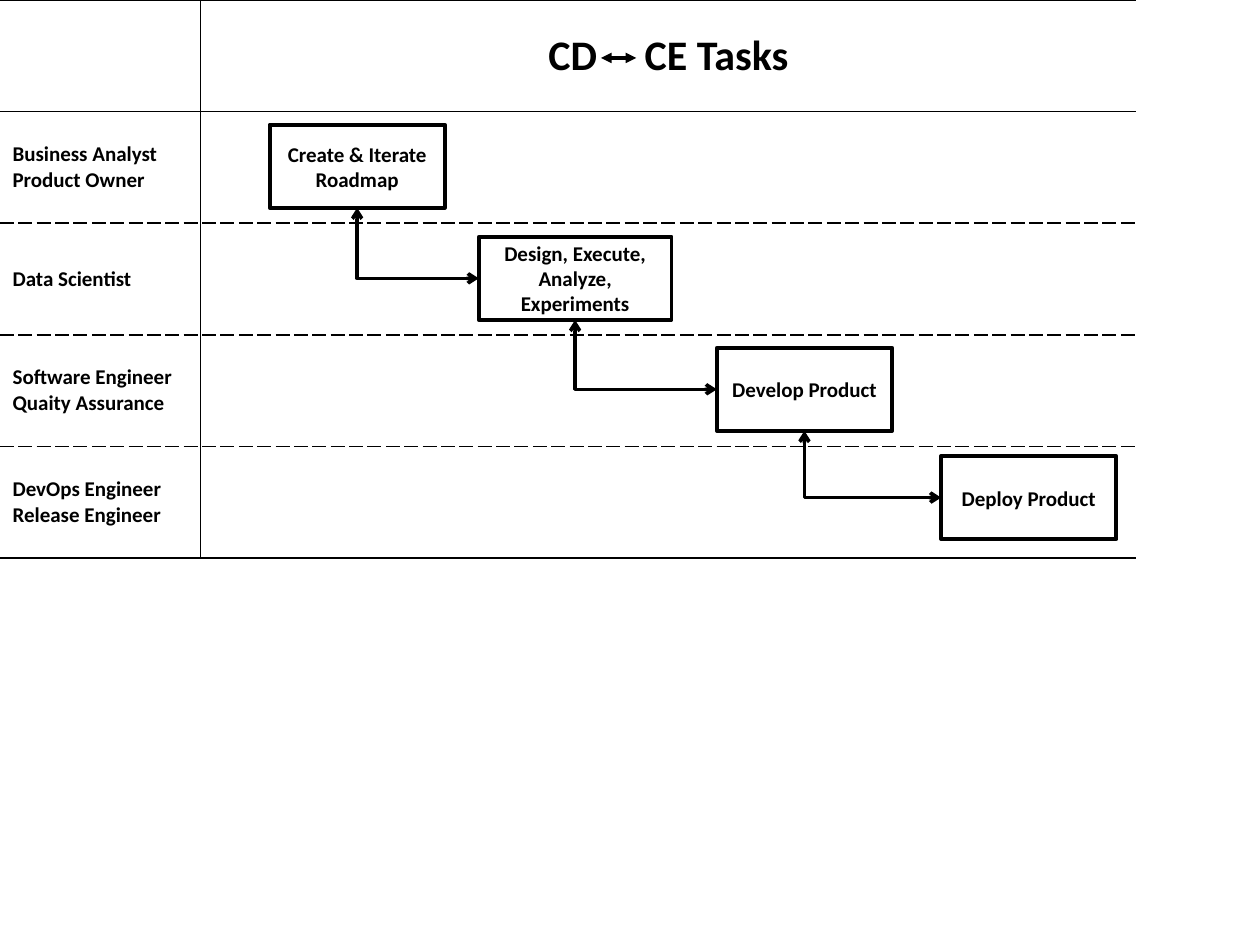
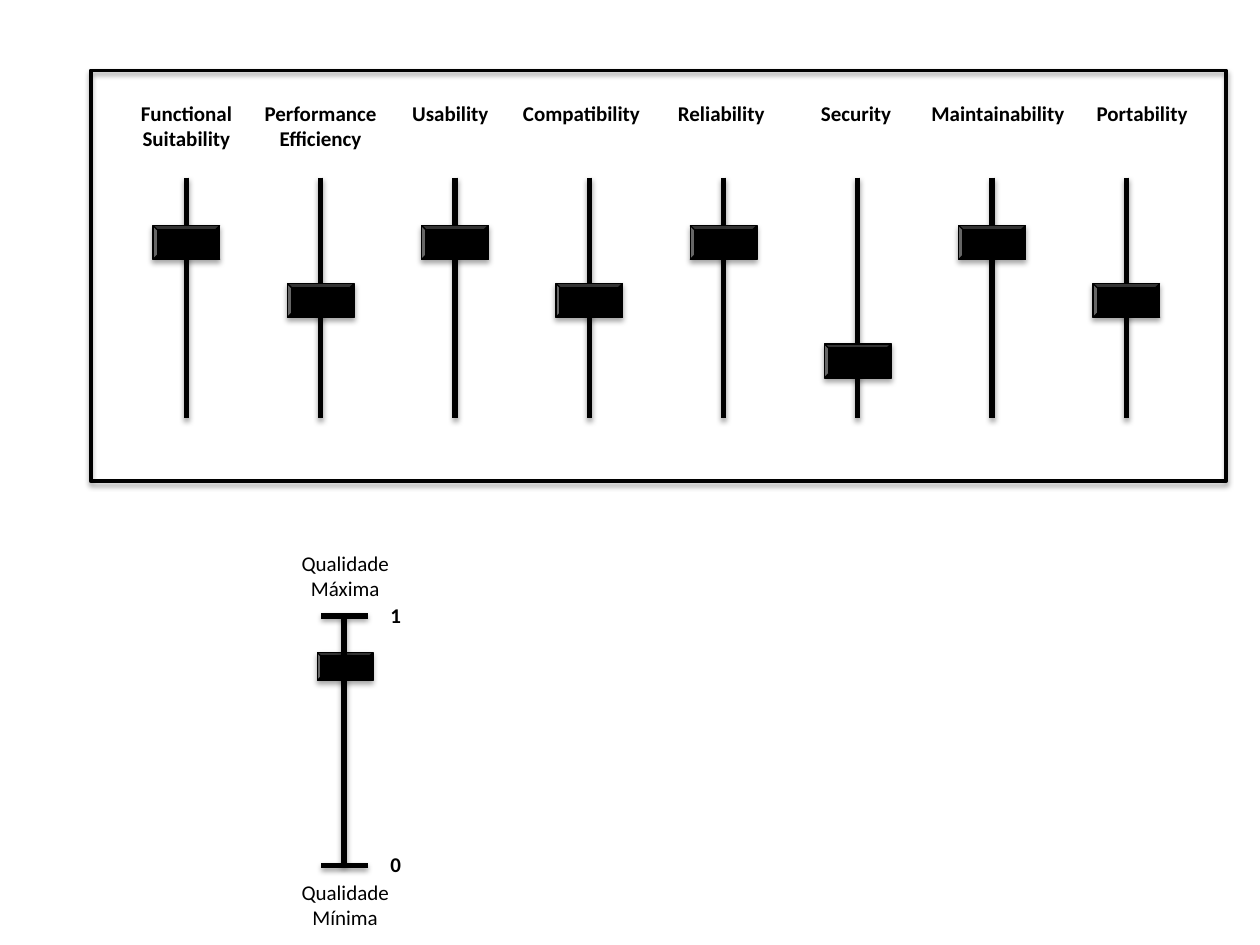
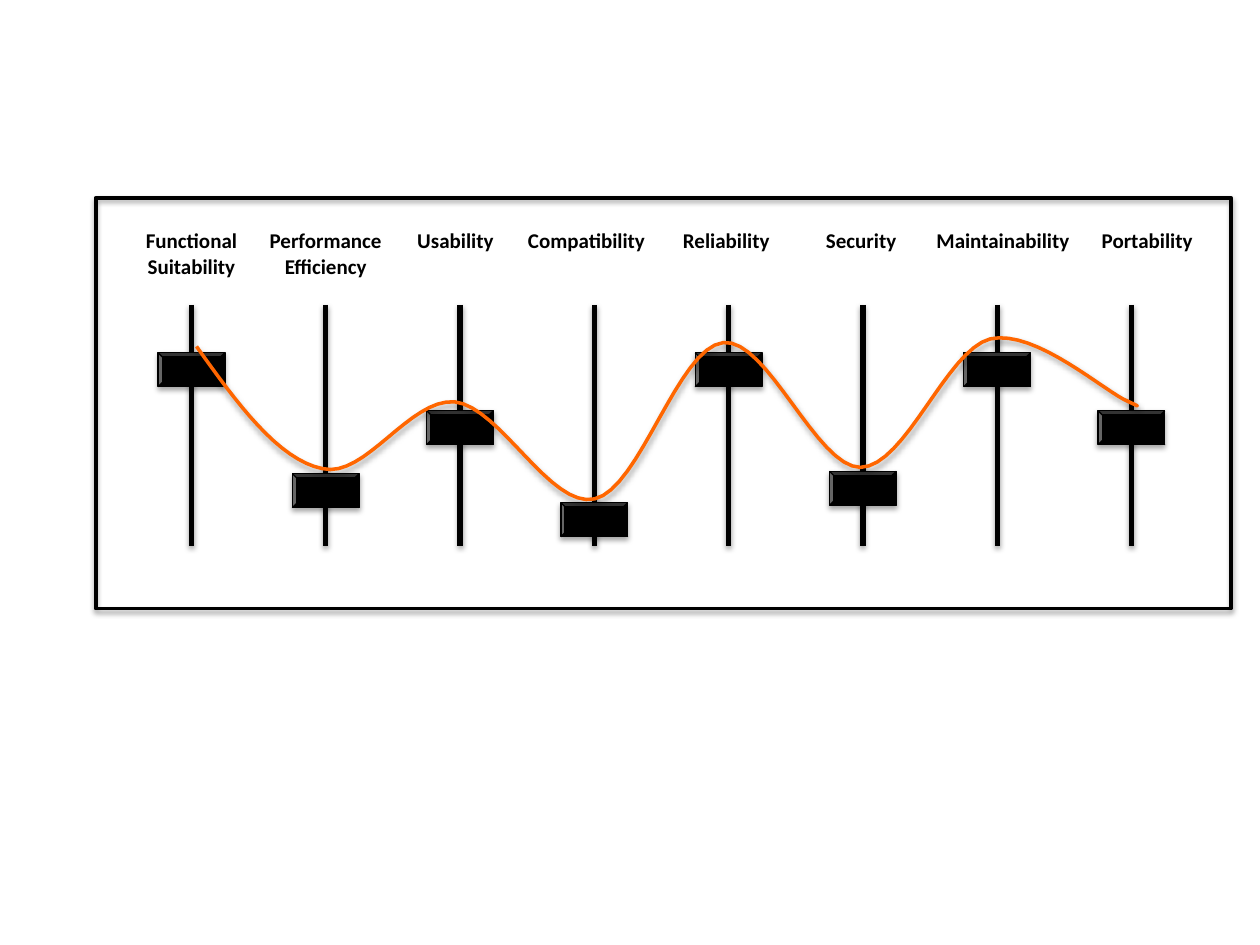
from lxml import etree
from pptx import Presentation
from pptx.dml.color import RGBColor
from pptx.enum.shapes import MSO_CONNECTOR as LINK, MSO_SHAPE as SHAPE
from pptx.enum.text import MSO_ANCHOR as ANCHOR, MSO_AUTO_SIZE as FIT, PP_ALIGN as ALIGN
from pptx.oxml import parse_xml
from pptx.oxml.ns import nsdecls, qn
from pptx.util import Inches, Pt

COLORS = {"ink": "000000", "curve": "FF6600"}
FONT = "Calibri"
PANEL_SIZE = (9.01, 3.26)
QUALITIES = [
    (["Functional", "Suitability"], 0.18, 1.16),
    (["Performance", "Efficiency"], 1.19, 1.27),
    (["Usability"], 2.34, 1.03),
    (["Compatibility"], 3.25, 1.29),
    (["Reliability"], 4.49, 1.03),
    (["Security"], 5.56, 1.03),
    (["Maintainability"], 6.41, 1.58),
    (["Portability"], 7.83, 1.03),
]
ROLES = [
    ["Business Analyst", "Product Owner"],
    ["Data Scientist"],
    ["Software Engineer", "Quaity Assurance"],
    ["DevOps Engineer", "Release Engineer"],
]
TASKS = [
    ("Create & Iterate Roadmap", 2.14, 0.99, 1.39),
    ("Design, Execute, Analyze, Experiments", 3.8, 1.88, 1.53),
    ("Develop Product", 5.69, 2.76, 1.39),
    ("Deploy Product", 7.47, 3.62, 1.39),
]
CURVE_START = (0.8, 1.18)
CURVE_BENDS = [
    ((1.12, 1.63), (1.45, 2.08), (1.8, 2.15)),
    ((2.14, 2.23), (2.49, 1.59), (2.85, 1.62)),
    ((3.21, 1.66), (3.61, 2.47), (3.96, 2.39)),
    ((4.32, 2.31), (4.62, 1.19), (4.98, 1.15)),
    ((5.33, 1.11), (5.72, 2.14), (6.07, 2.14)),
    ((6.43, 2.13), (6.75, 1.21), (7.1, 1.12)),
    ((7.46, 1.04), (8.02, 1.55), (8.2, 1.62)),
    ((8.37, 1.7), (8.16, 1.6), (8.16, 1.6)),
]


def rgb(name):
    """Return a palette colour."""
    return RGBColor.from_string(COLORS[name])


def inches(*lengths):
    """Convert several lengths to Inches."""
    return [Inches(length) for length in lengths]


def add_run(paragraph, text, size=12, bold=True):
    """Append one formatted run."""
    run = paragraph.add_run()
    run.text = text
    run.font.name, run.font.size, run.font.bold = FONT, Pt(size), bold
    run.font.color.rgb = rgb("ink")
    return run


def write_lines(frame, lines, align=ALIGN.CENTER, bold=True):
    """Write one paragraph per line of text."""
    for index, line in enumerate(lines):
        paragraph = frame.add_paragraph() if index else frame.paragraphs[0]
        paragraph.alignment = align
        add_run(paragraph, line, bold=bold)


def outline(part, width, color="ink"):
    """Set the colour and width of a line."""
    part.line.color.rgb = rgb(color)
    part.line.width = Pt(width)


def set_shadow(part, alpha=0, distance=0):
    """Give a part a soft lower shadow, or none when alpha is zero."""
    effects = parse_xml(f"<a:effectLst {nsdecls('a')}/>")
    if alpha:
        shade = etree.SubElement(effects, qn("a:outerShdw"), blurRad=str(Pt(3.1)),
                                 dist=str(Pt(distance)), dir="5400000", rotWithShape="0")
        color = etree.SubElement(shade, qn("a:srgbClr"), val=COLORS["ink"])
        etree.SubElement(color, qn("a:alpha"), val=str(alpha * 1000))
    part._element.spPr.append(effects)


def add_arrowheads(connector, kind):
    """Put the same arrowhead on both ends."""
    line = connector.line._get_or_add_ln()
    for end in ("a:headEnd", "a:tailEnd"):
        etree.SubElement(line, qn(end), type=kind)


def add_label(shapes, lines, left, top, width, align=ALIGN.CENTER, bold=True, wrap=True):
    """Add a text box that fits its lines."""
    label = shapes.add_textbox(*inches(left, top, width, 0.1 + 0.2 * len(lines)))
    label.text_frame.word_wrap = wrap
    label.text_frame.auto_size = FIT.SHAPE_TO_FIT_TEXT
    write_lines(label.text_frame, lines, align, bold)


def add_frame(shapes, left, top, width, height):
    """Add an unfilled rectangle with a heavy outline."""
    frame = shapes.add_shape(SHAPE.RECTANGLE, *inches(left, top, width, height))
    frame.fill.background()
    outline(frame, 2.25)
    return frame


def add_rail(shapes, x1, y1, x2, y2):
    """Add a thick shadowed line."""
    rail = shapes.add_connector(LINK.STRAIGHT, *inches(x1, y1, x2, y2))
    outline(rail, 3)
    set_shadow(rail, 38, 1.6)


def add_knob(shapes, left, top, width, height):
    """Add a bevelled slider knob."""
    knob = shapes.add_shape(SHAPE.BEVEL, *inches(left, top, width, height))
    knob.fill.solid()
    knob.fill.fore_color.rgb = rgb("ink")
    outline(knob, 0.75)
    set_shadow(knob, 35, 1.8)


def set_borders(cell, **dashes):
    """Draw the named sides of a cell with a dash style and clear the others."""
    cell.fill.background()
    properties = cell._tc.get_or_add_tcPr()
    for index, side in enumerate("LRTB"):
        border = etree.Element(qn(f"a:ln{side}"), w=str(Pt(1)))
        if side in dashes:
            fill = etree.SubElement(border, qn("a:solidFill"))
            etree.SubElement(fill, qn("a:srgbClr"), val=COLORS["ink"])
            etree.SubElement(border, qn("a:prstDash"), val=dashes[side])
        else:
            etree.SubElement(border, qn("a:noFill"))
        properties.insert(index, border)


def add_swimlanes(slide, left, top, width, height):
    """Build the table of roles and its heading."""
    rows = len(ROLES) + 1
    lanes = slide.shapes.add_table(rows, 2, *inches(left, top, width, height)).table
    lanes.first_row = lanes.horz_banding = False
    lanes.columns[0].width, lanes.columns[1].width = inches(1.59, width - 1.59)
    for row in range(rows):
        above = "solid" if row < 2 else "lgDash"
        below = "solid" if row in (0, rows - 1) else "lgDash"
        for column, side in enumerate("RL"):
            cell = lanes.cell(row, column)
            cell.vertical_anchor = ANCHOR.MIDDLE
            set_borders(cell, T=above, B=below, **{side: "solid"})
    for row, role in enumerate(ROLES, 1):
        write_lines(lanes.cell(row, 0).text_frame, role, ALIGN.LEFT)
    heading = lanes.cell(0, 1).text_frame.paragraphs[0]
    heading.alignment = ALIGN.CENTER
    add_run(heading, "CD", 24)
    gap = add_run(heading, " ", 24)
    gap._r.get_or_add_rPr().set("spc", "2170")
    add_run(heading, "CE Tasks", 24)


def add_task_flow(slide, left, top):
    """Place the task boxes and join each to the next."""
    boxes = []
    for task, x, y, width in TASKS:
        box = add_frame(slide.shapes, left + x, top + y, width, 0.66)
        set_shadow(box)
        box.text_frame.word_wrap = True
        box.text_frame.vertical_anchor = ANCHOR.MIDDLE
        write_lines(box.text_frame, [task])
        boxes.append(box)
    for upper, lower in zip(boxes, boxes[1:]):
        elbow = slide.shapes.add_connector(LINK.ELBOW, 0, 0, 0, 0)
        elbow.begin_connect(lower, 1)
        elbow.end_connect(upper, 2)
        elbow._element.spPr.find(qn("a:prstGeom")).set("prst", "bentConnector2")
        outline(elbow, 2)
        add_arrowheads(elbow, "arrow")
        set_shadow(elbow)
    exchange = slide.shapes.add_connector(
        LINK.STRAIGHT, *inches(left + 4.77, top + 0.46, left + 5.05, top + 0.46))
    outline(exchange, 2)
    add_arrowheads(exchange, "triangle")
    set_shadow(exchange)


def add_equalizer(slide, left, top, knob_tops):
    """Build the framed panel of quality sliders and return its group."""
    panel = slide.shapes.add_group_shape()
    shapes = panel.shapes
    pitch = (8.22 - 0.76) / (len(QUALITIES) - 1)
    for index, ((lines, x, width), knob_top) in enumerate(zip(QUALITIES, knob_tops)):
        center = left + 0.76 + index * pitch
        add_label(shapes, lines, left + x, top + 0.19, width)
        add_rail(shapes, center, top + 0.85, center, top + 2.76)
        add_knob(shapes, center - 0.265, top + knob_top, 0.53, 0.27)
    set_shadow(add_frame(shapes, left, top, *PANEL_SIZE), 35, 1.8)
    return panel


def add_quality_scale(slide, left, top):
    """Build the key that explains a slider's range."""
    add_knob(slide.shapes, left + 0.23, top + 0.86, 0.44, 0.22)
    scale = slide.shapes.add_group_shape().shapes
    low, high = top + 2.55, top + 0.57
    add_rail(scale, left + 0.44, high, left + 0.44, low)
    for y, extreme, extreme_top, value in (
            (low, "Mínima", top + 2.61, "0"), (high, "Máxima", top, "1")):
        add_rail(scale, left + 0.63, y, left + 0.26, y)
        add_label(scale, ["Qualidade", extreme], left, extreme_top, 0.9, bold=False, wrap=False)
        add_label(slide.shapes, [value], left + 0.71, y - 0.16, 0.29, ALIGN.LEFT, wrap=False)


def sample_bends(start, bends, steps=16):
    """Yield points along a chain of cubic bends."""
    for first, second, end in bends:
        for step in range(1, steps + 1):
            t = step / steps
            weights = ((1 - t) ** 3, 3 * t * (1 - t) ** 2, 3 * t * t * (1 - t), t ** 3)
            yield tuple(sum(weight * value for weight, value in zip(weights, axis))
                        for axis in zip(start, first, second, end))
        start = end


def add_quality_curve(panel, left, top):
    """Draw the curve that runs along the knobs."""
    x, y = CURVE_START
    builder = panel.shapes.build_freeform(*inches(left + x, top + y))
    builder.add_line_segments(
        [inches(left + x, top + y) for x, y in sample_bends(CURVE_START, CURVE_BENDS)],
        close=False)
    curve = builder.convert_to_shape()
    curve.fill.background()
    outline(curve, 2, "curve")
    set_shadow(curve, 38, 1.6)


def main():
    """Build the three slides and save them."""
    deck = Presentation()
    deck.slide_width, deck.slide_height = inches(10, 7.5)
    blank = deck.slide_layouts[6]
    tasks, sliders, profile = (deck.slides.add_slide(blank) for _ in range(3))

    add_swimlanes(tasks, 0, 0, 9.02, 4.43)
    add_task_flow(tasks, 0, 0)

    add_equalizer(sliders, 0.72, 0.56, [1.23, 1.69, 1.23, 1.69, 1.23, 2.17, 1.23, 1.69])
    add_quality_scale(sliders, 2.29, 4.32)

    panel = add_equalizer(profile, 0.76, 1.57, [1.23, 2.19, 1.69, 2.42, 1.23, 2.17, 1.23, 1.69])
    add_quality_curve(panel, 0.76, 1.57)

    deck.save("out.pptx")


if __name__ == "__main__":
    main()
